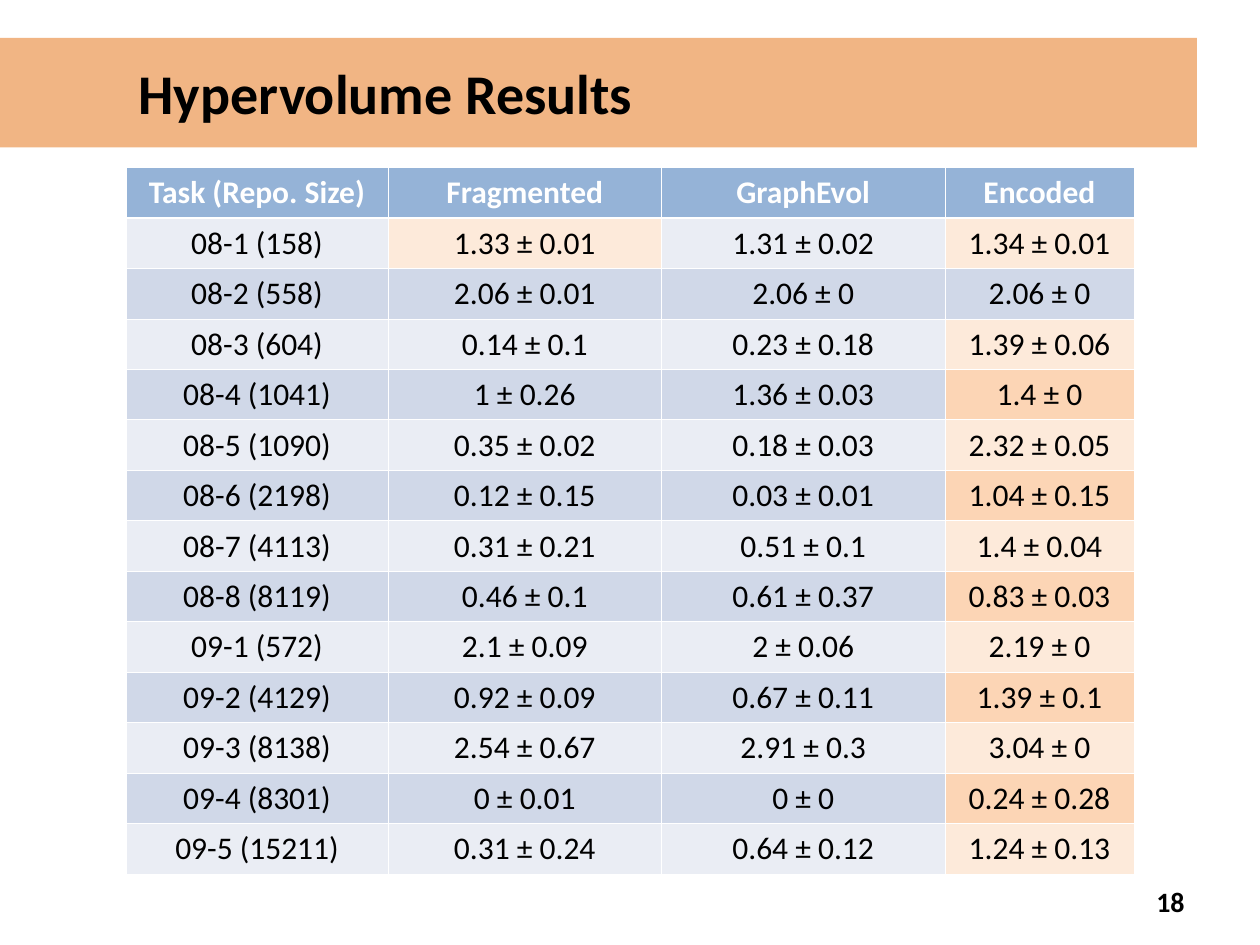
from dataclasses import dataclass

from lxml import etree
from pptx import Presentation
from pptx import util as u
from pptx.dml.color import RGBColor
from pptx.enum import text
from pptx.oxml import ns


@dataclass(frozen=True)
class Theme:
    font: str = "Calibri"
    title_size: int = 32
    table_size: int = 18
    number_size: int = 16
    ink: str = "000000"
    paper: str = "FFFFFF"
    banner: str = "E46C0A"
    banner_opacity: int = 50
    header: str = "95B3D7"
    bands: tuple = ("EAEDF4", "D0D8E8")
    best_bands: tuple = ("FDEADA", "FCD5B5")
    thin_rule: float = 0.45
    header_rule: float = 1.47


THEME = Theme()
TABLE_LEFT, TABLE_TOP, ROW_HEIGHT = 1, 1.33, 0.4
COLUMN_WIDTHS = (2.08, 2.17, 2.25, 1.5)
HEADINGS = ("Task (Repo. Size)", "Fragmented", "GraphEvol", "Encoded")
RESULTS = (
    ("08-1 (158)", "1.33 ± 0.01", "1.31 ± 0.02", "1.34 ± 0.01"),
    ("08-2 (558)", "2.06 ± 0.01", "2.06 ± 0", "2.06 ± 0"),
    ("08-3 (604)", "0.14 ± 0.1", "0.23 ± 0.18", "1.39 ± 0.06"),
    ("08-4 (1041)", "1 ± 0.26", "1.36 ± 0.03", "1.4 ± 0"),
    ("08-5 (1090)", "0.35 ± 0.02", "0.18 ± 0.03", "2.32 ± 0.05"),
    ("08-6 (2198)", "0.12 ± 0.15", "0.03 ± 0.01", "1.04 ± 0.15"),
    ("08-7 (4113)", "0.31 ± 0.21", "0.51 ± 0.1", "1.4 ± 0.04"),
    ("08-8 (8119)", "0.46 ± 0.1", "0.61 ± 0.37", "0.83 ± 0.03"),
    ("09-1 (572)", "2.1 ± 0.09", "2 ± 0.06", "2.19 ± 0"),
    ("09-2 (4129)", "0.92 ± 0.09", "0.67 ± 0.11", "1.39 ± 0.1"),
    ("09-3 (8138)", "2.54 ± 0.67", "2.91 ± 0.3", "3.04 ± 0"),
    ("09-4 (8301)", "0 ± 0.01", "0 ± 0", "0.24 ± 0.28"),
    ("09-5 (15211)", "0.31 ± 0.24", "0.64 ± 0.12", "1.24 ± 0.13"),
)
# Encoded is best in every task except these.
BEST_COLUMNS = {"08-1 (158)": (1, 3), "08-2 (558)": ()}


def place(shape, left, top, width, height):
    shape.left, shape.top = u.Inches(left), u.Inches(top)
    shape.width, shape.height = u.Inches(width), u.Inches(height)


def write(frame, words, size, color, bold, align):
    frame.text = words
    para = frame.paragraphs[0]
    para.alignment = align
    para.font.name = THEME.font
    para.font.size = u.Pt(size)
    para.font.bold = bold
    para.font.color.rgb = RGBColor.from_string(color)


def fill_solid(target, color):
    target.fill.solid()
    target.fill.fore_color.rgb = RGBColor.from_string(color)


def add_banner_title(page, words):
    title = page.shapes.title
    place(title, 0, 0.3, 9.5, 0.87)
    fill_solid(title, THEME.banner)
    color = title.fill._xPr.find(".//" + ns.qn("a:srgbClr"))
    etree.SubElement(color, ns.qn("a:alpha"), val=str(THEME.banner_opacity * 1000))
    frame = title.text_frame
    frame.margin_left = u.Inches(1.1)
    frame.vertical_anchor = text.MSO_ANCHOR.MIDDLE
    write(frame, words, THEME.title_size, THEME.ink, True, text.PP_ALIGN.LEFT)


def add_page_number(page, number):
    box = page.shapes.add_textbox(0, 0, 0, 0)
    place(box, 7.17, 6.95, 2.33, 0.4)
    frame = box.text_frame
    frame.word_wrap = True
    frame.vertical_anchor = text.MSO_ANCHOR.MIDDLE
    write(frame, number, THEME.number_size, THEME.ink, True, text.PP_ALIGN.RIGHT)


def set_borders(cell, top, bottom):
    """Rule all four sides; the schema wants the lines before the fill."""
    properties = cell._tc.get_or_add_tcPr()
    widths = {"lnL": THEME.thin_rule, "lnR": THEME.thin_rule, "lnT": top, "lnB": bottom}
    for position, (side, width) in enumerate(widths.items()):
        line = etree.Element(ns.qn("a:" + side), w=str(int(u.Pt(width))))
        solid = etree.SubElement(line, ns.qn("a:solidFill"))
        etree.SubElement(solid, ns.qn("a:srgbClr"), val=THEME.paper)
        properties.insert(position, line)


def cell_color(row, column, task):
    if row == 0:
        return THEME.header
    best = column in BEST_COLUMNS.get(task, (3,))
    return (THEME.best_bands if best else THEME.bands)[(row - 1) % 2]


def add_results_table(page):
    rows = (HEADINGS, *RESULTS)
    frame = page.shapes.add_table(
        len(rows), len(HEADINGS), u.Inches(TABLE_LEFT), u.Inches(TABLE_TOP),
        u.Inches(sum(COLUMN_WIDTHS)), u.Inches(ROW_HEIGHT * len(rows)))
    table = frame.table
    for column, width in zip(table.columns, COLUMN_WIDTHS):
        column.width = u.Inches(width)
    for r, values in enumerate(rows):
        table.rows[r].height = u.Inches(ROW_HEIGHT)
        heading = r == 0
        for c, words in enumerate(values):
            cell = table.cell(r, c)
            write(cell.text_frame, words, THEME.table_size,
                  THEME.paper if heading else THEME.ink, heading, text.PP_ALIGN.CENTER)
            fill_solid(cell, cell_color(r, c, values[0]))
            set_borders(cell,
                        top=THEME.header_rule if r == 1 else THEME.thin_rule,
                        bottom=THEME.header_rule if heading else THEME.thin_rule)


def main():
    deck = Presentation()
    deck.slide_width, deck.slide_height = u.Inches(10), u.Inches(7.5)
    page = deck.slides.add_slide(deck.slide_layouts.get_by_name("Title Only"))
    add_banner_title(page, "Hypervolume Results")
    add_page_number(page, "18")
    add_results_table(page)
    deck.save("out.pptx")


if __name__ == "__main__":
    main()
